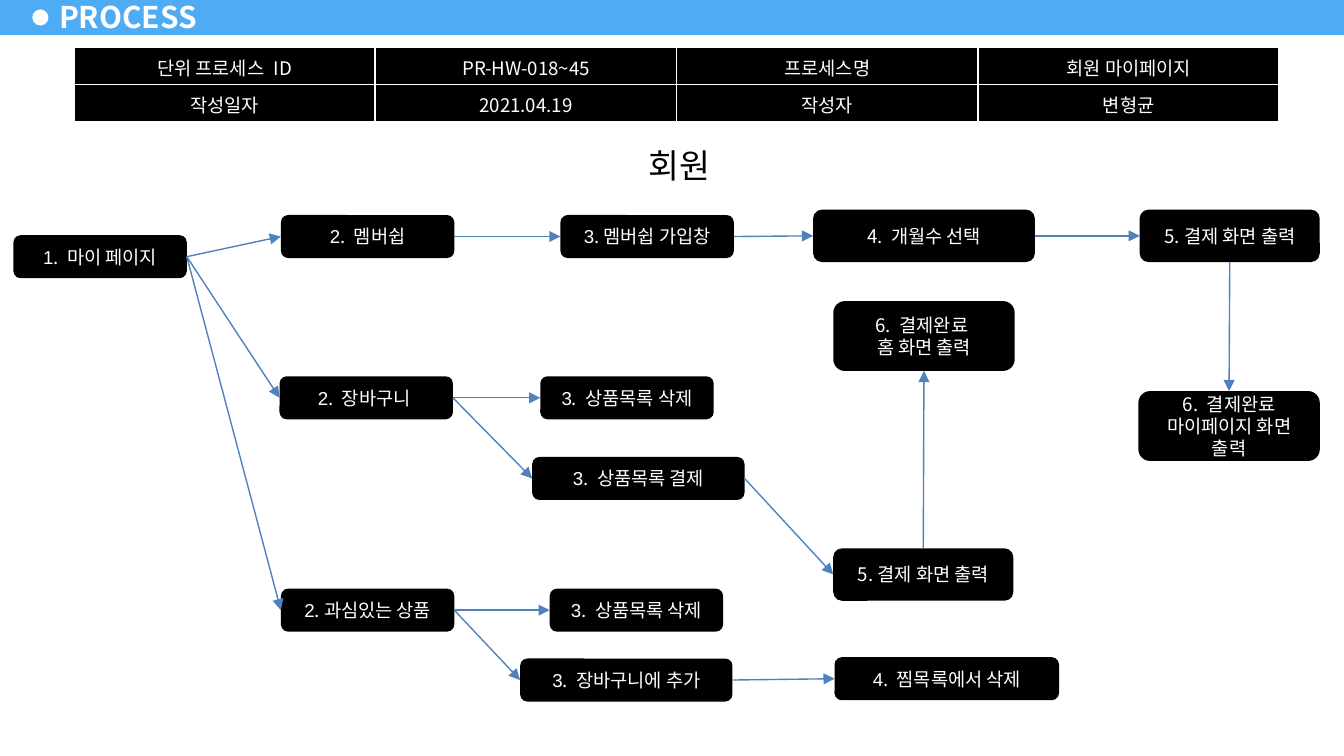
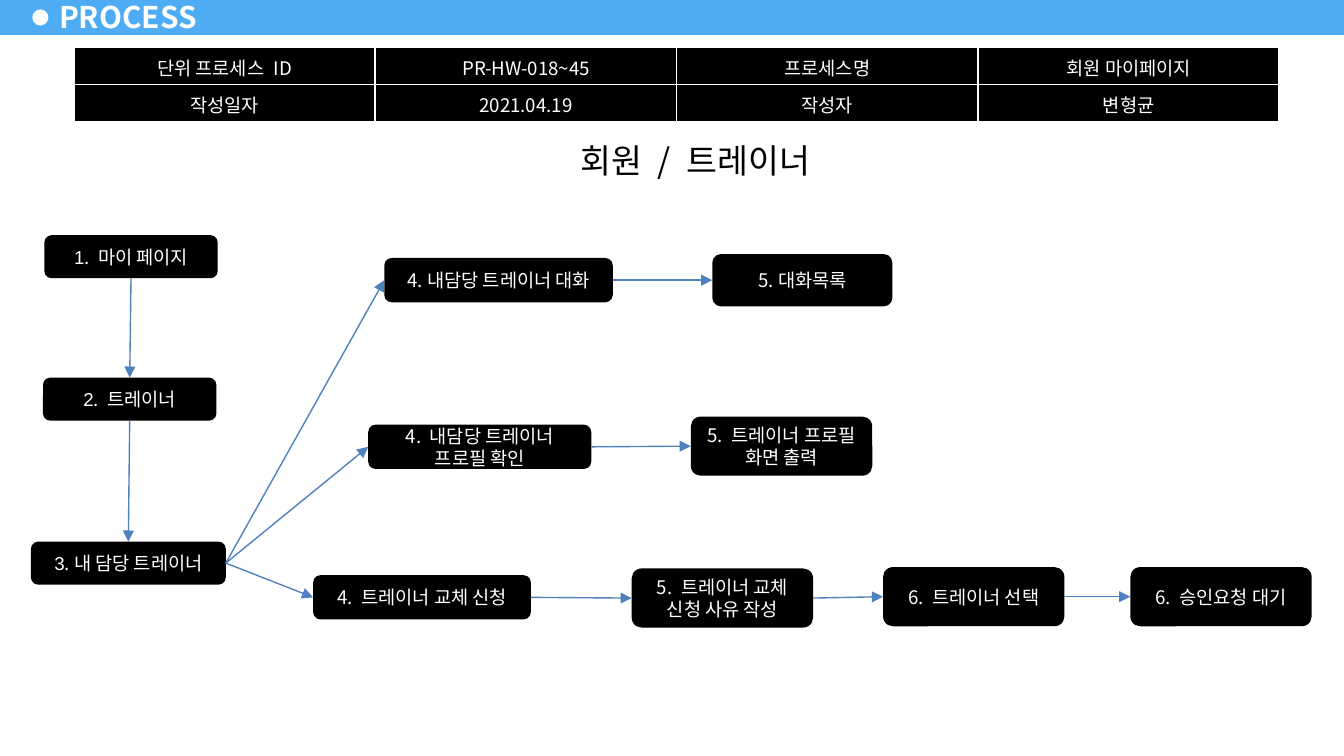
from dataclasses import dataclass

from lxml import etree
from pptx import Presentation
from pptx import util as u
from pptx.dml.color import RGBColor
from pptx.enum import shapes, text
from pptx.oxml.ns import qn

SKY, BLACK, WHITE, ARROW = "4DACF3", "000000", "FFFFFF", "4F81BD"
KOREAN, LATIN = "Noto Sans CJK KR", "Arial"
MENU_HEIGHT = 0.32  # boxes of this height set their step number in Arial
TOP, LEFT, BOTTOM, RIGHT = range(4)

PROCESS_TABLE = (
    ("단위 프로세스 ID", "PR-HW-018~45", "프로세스명", "회원 마이페이지"),
    ("작성일자", "2021.04.19", "작성자", "변형균"),
)


@dataclass
class Step:
    label: str
    left: float
    top: float
    width: float = 1.29
    height: float = MENU_HEIGHT


@dataclass
class Arrow:
    start: str
    end: str
    leave: int = RIGHT
    enter: int = LEFT


@dataclass
class Flow:
    heading: str
    left: float
    top: float
    steps: dict[str, Step]
    arrows: list[Arrow]


MEMBER = Flow(
    "회원", 4.73, 1.03,
    {
        "my page": Step("1. 마이 페이지", 0.1, 1.75),
        "membership": Step("2. 멤버쉽", 2.09, 1.6),
        "cart": Step("2. 장바구니 ", 2.08, 2.8),
        "favourites": Step("2.과심있는 상품", 2.09, 4.38),
        "join": Step("3.멤버쉽 가입창", 4.17, 1.6),
        "cart delete": Step("3. 상품목록 삭제", 4.02, 2.8),
        "cart pay": Step("3. 상품목록 결제", 3.96, 3.4, 1.58),
        "favourite delete": Step("3. 상품목록 삭제", 4.09, 4.38),
        "add to cart": Step("3. 장바구니에 추가", 3.87, 4.9, 1.58),
        "months": Step("4. 개월수 선택", 6.05, 1.56, 1.65, 0.39),
        "remove": Step("4. 찜목록에서 삭제", 6.21, 4.89, 1.67),
        "join payment": Step("5.결제 화면 출력", 8.48, 1.56, 1.34, 0.39),
        "cart payment": Step("5.결제 화면 출력", 6.2, 4.08, 1.34, 0.39),
        "join done": Step("6. 결제완료 마이페이지 화면 출력", 8.47, 2.91, 1.35, 0.52),
        "cart done": Step("6. 결제완료 \n홈 화면 출력", 6.2, 2.24, 1.35, 0.52),
    },
    [
        Arrow("my page", "membership"),
        Arrow("my page", "cart"),
        Arrow("my page", "favourites"),
        Arrow("membership", "join"),
        Arrow("join", "months"),
        Arrow("months", "join payment"),
        Arrow("join payment", "join done", BOTTOM, TOP),
        Arrow("cart", "cart delete"),
        Arrow("cart", "cart pay"),
        Arrow("cart pay", "cart payment"),
        Arrow("cart payment", "cart done", TOP, BOTTOM),
        Arrow("favourites", "favourite delete"),
        Arrow("favourites", "add to cart"),
        Arrow("add to cart", "remove"),
    ],
)

TRAINER = Flow(
    "회원 / 트레이너", 4.22, 0.99,
    {
        "my page": Step("1. 마이 페이지", 0.33, 1.75),
        "trainer": Step("2. 트레이너", 0.32, 2.81),
        "my trainer": Step("3.내 담당 트레이너", 0.23, 4.03, 1.45),
        "chat": Step("4.내담당 트레이너 대화", 2.86, 1.92, 1.7, 0.33),
        "profile": Step("4. 내담당 트레이너 프로필 확인", 2.74, 3.16, 1.66, 0.33),
        "change": Step("4. 트레이너 교체 신청", 2.33, 4.28, 1.62, 0.33),
        "chat list": Step("5.대화목록", 5.3, 1.89, 1.34, 0.39),
        "profile screen": Step("5. 트레이너 프로필 화면 출력", 5.14, 3.1, 1.35, 0.44),
        "reason": Step("5. 트레이너 교체 신청 사유 작성", 4.7, 4.23, 1.35, 0.44),
        "choose": Step("6. 트레이너 선택", 6.57, 4.22, 1.35, 0.44),
        "approval": Step("6. 승인요청 대기", 8.41, 4.22, 1.35, 0.44),
    },
    [
        Arrow("my page", "trainer", BOTTOM, TOP),
        Arrow("trainer", "my trainer", BOTTOM, TOP),
        Arrow("my trainer", "chat"),
        Arrow("my trainer", "profile"),
        Arrow("my trainer", "change"),
        Arrow("chat", "chat list"),
        Arrow("profile", "profile screen"),
        Arrow("change", "reason"),
        Arrow("reason", "choose"),
        Arrow("choose", "approval"),
    ],
)


def rgb(colour: str) -> RGBColor:
    return RGBColor.from_string(colour)


def style_span(span, size: float, colour: str, face: str = KOREAN, bold: bool = False) -> None:
    font = span.font
    font.size, font.bold, font.name = u.Pt(size), bold, face
    font.color.rgb = rgb(colour)
    east_asian = etree.SubElement(span._r.get_or_add_rPr(), qn("a:ea"))
    east_asian.set("typeface", face)


def add_box(page, kind, left: float, top: float, width: float, height: float, fill: str):
    box = page.shapes.add_shape(kind, *map(u.Inches, (left, top, width, height)))
    box.shadow.inherit = False
    box.fill.solid()
    box.fill.fore_color.rgb = rgb(fill)
    box.line.fill.background()
    return box


# Parts that every page shares
def add_band(page) -> None:
    add_box(page, shapes.MSO_SHAPE.RECTANGLE, 0, -0.02, 10, 0.28, SKY)
    add_box(page, shapes.MSO_SHAPE.OVAL, 0.24, 0.07, 0.12, 0.12, WHITE)
    title = page.shapes.add_textbox(*map(u.Inches, (0.35, -0.04, 1.22, 0.32)))
    frame = title.text_frame
    frame.text = "PROCESS"
    frame.word_wrap = True
    frame.vertical_anchor = text.MSO_ANCHOR.MIDDLE
    frame.margin_left = frame.margin_right = u.Inches(0.09)
    frame.margin_top = frame.margin_bottom = u.Inches(0.04)
    style_span(frame.paragraphs[0].runs[0], 16, WHITE, bold=True)


def add_borders(cell) -> None:
    properties = cell._tc.get_or_add_tcPr()
    for index, side in enumerate(("lnL", "lnR", "lnT", "lnB")):
        border = etree.Element(qn(f"a:{side}"), w=str(u.Pt(1)))
        fill = etree.SubElement(border, qn("a:solidFill"))
        etree.SubElement(fill, qn("a:srgbClr")).set("val", WHITE)
        properties.insert(index, border)


def add_process_table(page) -> None:
    frame = page.shapes.add_table(2, 4, *map(u.Inches, (0.55, 0.35, 8.97, 0.56)))
    table = frame.table
    table.first_row = table.horz_banding = False
    for row, labels in zip(table.rows, PROCESS_TABLE):
        for cell, label in zip(row.cells, labels):
            cell.text = label
            cell.vertical_anchor = text.MSO_ANCHOR.MIDDLE
            cell.fill.solid()
            cell.fill.fore_color.rgb = rgb(BLACK)
            add_borders(cell)
            para = cell.text_frame.paragraphs[0]
            para.alignment = text.PP_ALIGN.CENTER
            style_span(para.runs[0], 10, WHITE)


# Parts of one flow
def add_heading(page, flow: Flow) -> None:
    box = add_box(page, shapes.MSO_SHAPE.RECTANGLE, flow.left, flow.top, 2.07, 0.4, WHITE)
    frame = box.text_frame
    frame.text = flow.heading
    frame.word_wrap = True
    frame.auto_size = text.MSO_AUTO_SIZE.SHAPE_TO_FIT_TEXT
    frame.vertical_anchor = text.MSO_ANCHOR.TOP
    para = frame.paragraphs[0]
    para.alignment = text.PP_ALIGN.LEFT
    style_span(para.runs[0], 18, BLACK)


def add_step(page, step: Step):
    box = add_box(page, shapes.MSO_SHAPE.ROUNDED_RECTANGLE,
                  step.left, step.top, step.width, step.height, BLACK)
    frame = box.text_frame
    frame.text = step.label
    frame.word_wrap = True
    frame.vertical_anchor = text.MSO_ANCHOR.MIDDLE
    for para in frame.paragraphs:
        para.alignment = text.PP_ALIGN.CENTER
        span = para.runs[0]
        if step.height == MENU_HEIGHT:
            number, rest = span.text[:1], span.text[1:]
            span.text = number
            style_span(span, 10, WHITE, LATIN)
            span = para.add_run()
            span.text = rest
        style_span(span, 10, WHITE)
    return box


def add_arrow(page, start, end, leave: int, enter: int) -> None:
    line = page.shapes.add_connector(shapes.MSO_CONNECTOR.STRAIGHT, 0, 0, 0, 0)
    line.begin_connect(start, leave)
    line.end_connect(end, enter)
    line.line.width = u.Pt(0.75)
    line.line.color.rgb = rgb(ARROW)
    etree.SubElement(line.line._get_or_add_ln(), qn("a:tailEnd")).set("type", "triangle")
    etree.SubElement(line._element.spPr, qn("a:effectLst"))


def add_flow_page(deck, flow: Flow) -> None:
    page = deck.slides.add_slide(deck.slide_layouts[6])
    add_band(page)
    add_heading(page, flow)
    boxes = {key: add_step(page, step) for key, step in flow.steps.items()}
    for arrow in flow.arrows:
        add_arrow(page, boxes[arrow.start], boxes[arrow.end], arrow.leave, arrow.enter)
    add_process_table(page)


def main() -> None:
    deck = Presentation()
    deck.slide_width = u.Inches(10)
    deck.slide_height = u.Inches(10 * 9 / 16)
    for flow in (MEMBER, TRAINER):
        add_flow_page(deck, flow)
    deck.save("out.pptx")


if __name__ == "__main__":
    main()
